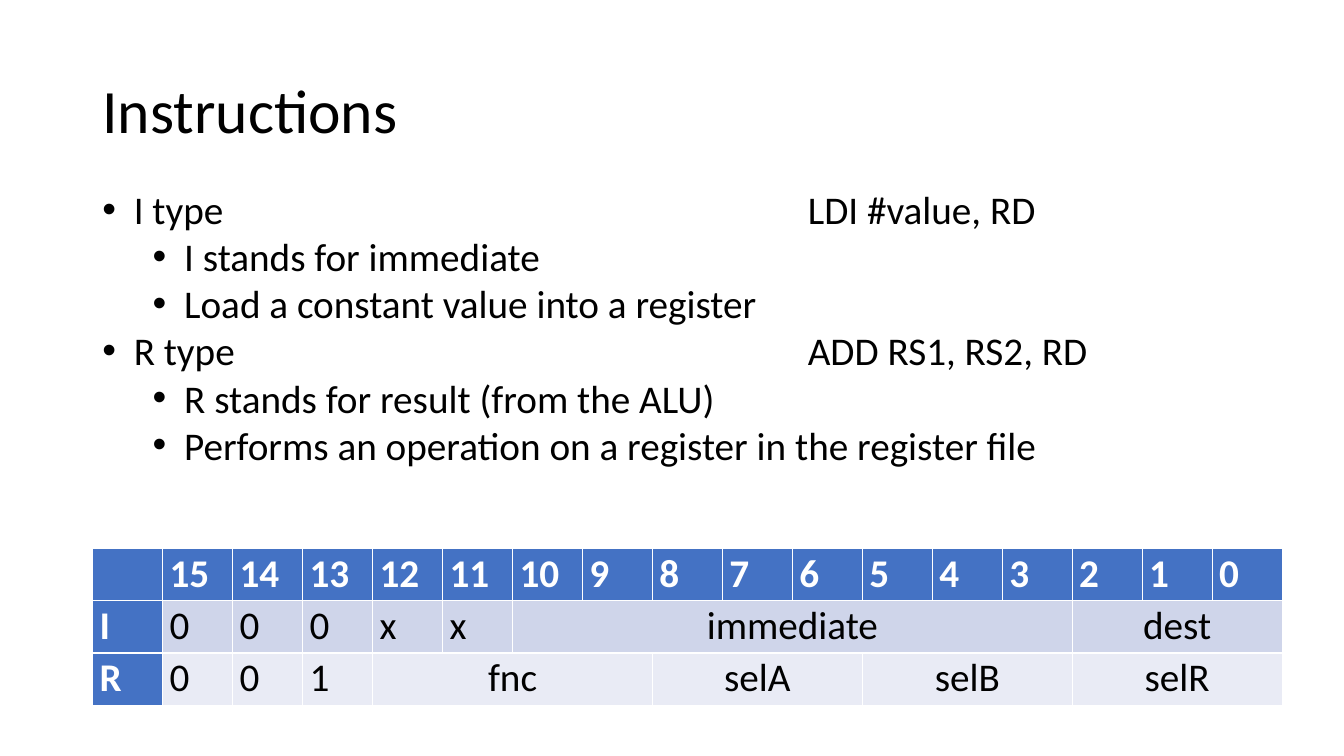
from dataclasses import dataclass

from lxml import etree
from pptx import Presentation
from pptx.dml.color import RGBColor
from pptx.enum.text import MSO_ANCHOR, MSO_AUTO_SIZE, PP_ALIGN
from pptx.oxml.ns import qn
from pptx.util import Pt

LEFT, CENTER = PP_ALIGN.LEFT, PP_ALIGN.CENTER
MIDDLE = MSO_ANCHOR.MIDDLE
GROW = MSO_AUTO_SIZE.SHAPE_TO_FIT_TEXT
TITLE_ONLY = 5


@dataclass(frozen=True)
class Theme:
    font: str = "Calibri"
    title_size: int = 44
    text_size: int = 28
    text: str = "000000"
    inverse: str = "FFFFFF"
    header: str = "4472C4"
    bands: tuple = ("CFD5EA", "E9EBF5")


THEME = Theme()

POINTS = [
    (0, "I type\tLDI #value, RD"),
    (1, "I stands for immediate"),
    (1, "Load a constant value into a register"),
    (0, "R type\tADD RS1, RS2, RD"),
    (1, "R stands for result (from the ALU)"),
    (1, "Performs an operation on a register in the register file"),
]

BITS = 16
ENCODINGS = [
    [("", 1)] + [(str(bit), 1) for bit in reversed(range(BITS))],
    [("I", 1), ("0", 1), ("0", 1), ("0", 1), ("x", 1), ("x", 1),
     ("immediate", 8), ("dest", 3)],
    [("R", 1), ("0", 1), ("0", 1), ("1", 1), ("fnc", 4),
     ("selA", 3), ("selB", 3), ("selR", 3)],
]


def apply(target, values):
    for name, value in values.items():
        setattr(target, name, value)


def style_font(paragraph, size, color, bold=False):
    apply(paragraph.font, {"name": THEME.font, "size": Pt(size), "bold": bold})
    paragraph.font.color.rgb = RGBColor.from_string(color)


def add_title(slide, text):
    title = slide.shapes.title
    apply(title, {"left": Pt(66), "top": Pt(28.75),
                  "width": Pt(828), "height": Pt(104.4)})
    title.text_frame.text = text
    title.text_frame.vertical_anchor = MIDDLE
    heading = title.text_frame.paragraphs[0]
    apply(heading, {"alignment": LEFT, "line_spacing": 0.9})
    style_font(heading, THEME.title_size, THEME.text)


def set_bullet(paragraph, level):
    paragraph.level = level
    properties = paragraph._p.get_or_add_pPr()
    properties.set("marL", str(Pt(22.5 + 36 * level)))
    properties.set("indent", str(Pt(-22.5)))
    etree.SubElement(properties, qn("a:buFont"), typeface="Arial")
    etree.SubElement(properties, qn("a:buChar"), char="•")
    if level == 0:
        stops = etree.SubElement(properties, qn("a:tabLst"))
        etree.SubElement(stops, qn("a:tab"), pos=str(Pt(504)), algn="l")


def add_points(slide, points):
    frame = slide.shapes.add_textbox(
        Pt(66), Pt(129), Pt(828), Pt(244.8)).text_frame
    apply(frame, {"word_wrap": True, "auto_size": GROW})
    for number, (level, text) in enumerate(points):
        point = frame.add_paragraph() if number else frame.paragraphs[0]
        point.text = text
        set_bullet(point, level)
        style_font(point, THEME.text_size, THEME.text)


def fill_cell(cell, text, fill, color, bold, alignment):
    apply(cell, {"margin_left": Pt(5), "margin_right": Pt(5),
                 "margin_top": 0, "margin_bottom": 0, "text": text})
    cell.fill.solid()
    cell.fill.fore_color.rgb = RGBColor.from_string(fill)
    label = cell.text_frame.paragraphs[0]
    apply(label, {"alignment": alignment, "line_spacing": 1.03})
    style_font(label, THEME.text_size, color, bold)


def add_encoding_table(slide, encodings):
    columns = BITS + 1
    table = slide.shapes.add_table(
        len(encodings), columns, Pt(66.25), Pt(391.7),
        Pt(50 * columns), Pt(37.4 * len(encodings))).table
    table.first_col = True
    for column in table.columns:
        column.width = Pt(50)
    for row, fields in enumerate(encodings):
        start = 0
        for text, span in fields:
            cell = table.cell(row, start)
            if span > 1:
                cell.merge(table.cell(row, start + span - 1))
            heading = row == 0 or start == 0
            fill_cell(cell, text,
                      THEME.header if heading else THEME.bands[row - 1],
                      THEME.inverse if heading else THEME.text,
                      heading, CENTER if span > 1 else LEFT)
            start += span


def main():
    deck = Presentation()
    apply(deck, {"slide_width": Pt(960), "slide_height": Pt(540)})
    slide = deck.slides.add_slide(deck.slide_layouts[TITLE_ONLY])
    add_title(slide, "Instructions")
    add_points(slide, POINTS)
    add_encoding_table(slide, ENCODINGS)
    deck.save("out.pptx")


if __name__ == "__main__":
    main()
